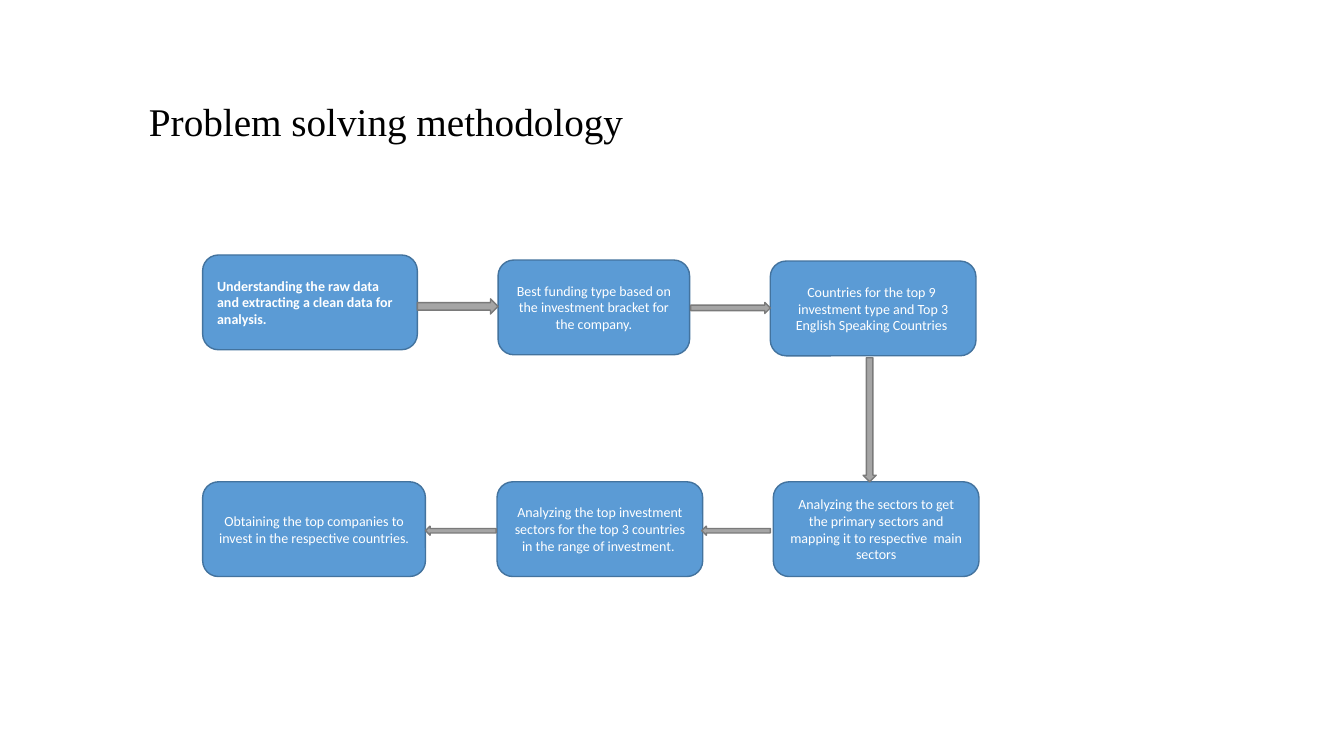
import math

import pptx
import pptx.dml.color
import pptx.enum.shapes
import pptx.enum.text
import pptx.util

COLORS = {
    "title": "000000",
    "step": "5B9BD5",
    "step_line": "43739E",
    "step_text": "FFFFFF",
    "arrow": "A5A5A5",
    "arrow_line": "7A7A7A",
}
SLIDE_WIDTH, SLIDE_HEIGHT = 13.33, 7.5
GRID = 0.1  # one column or row of the grid, in inches
STEP_HEIGHT = 9.4

SHAPE = pptx.enum.shapes.MSO_SHAPE
ALIGN = pptx.enum.text.PP_ALIGN

# Left, top and width in grid units from the corner of the flow, then wording
STEPS = [
    (0, 0, 21.3, "Understanding the raw data and extracting a clean data for analysis."),
    (29.3, 0.5, 19, "Best funding type based on the investment bracket for the company."),
    (56.3, 0.6, 20.4, "Countries for the top 9  investment type and Top 3 English Speaking Countries "),
    (56.6, 22.5, 20.4, "Analyzing the sectors to get the primary sectors and mapping it to respective  main sectors"),
    (29.2, 22.5, 20.4, "Analyzing the top investment sectors for the top 3 countries in the range of investment. "),
    (0, 22.5, 22.1, "Obtaining the top companies to invest in the respective countries."),
]

# Start, end and thickness in grid units from the corner of the flow
ARROWS = [
    ((21.3, 5.1), (29.3, 5.1), 1.5),
    ((48.4, 5.25), (56.3, 5.25), 1.1),
    ((66.15, 10.2), (66.15, 22.5), 1.3),
    ((56.3, 27.35), (49.5, 27.35), 0.9),
    ((29.1, 27.35), (22.1, 27.35), 0.9),
]


def rgb(name):
    return pptx.dml.color.RGBColor.from_string(COLORS[name])


def grid(*units):
    return [pptx.util.Inches(unit * GRID) for unit in units]


def add_run(paragraph, wording, *, size, font, color, bold=False):
    run = paragraph.add_run()
    run.text = wording
    run.font.size = pptx.util.Pt(size)
    run.font.name = font
    run.font.bold = bold
    run.font.color.rgb = rgb(color)


def add_block(slide, kind, box, color):
    block = slide.shapes.add_shape(kind, *grid(*box))
    block.shadow.inherit = False
    block.fill.solid()
    block.fill.fore_color.rgb = rgb(color)
    block.line.color.rgb = rgb(color + "_line")
    block.line.width = pptx.util.Pt(1)
    return block


def add_title(slide, box):
    title = slide.shapes.add_textbox(*grid(*box))
    title.text_frame.word_wrap = True
    title.text_frame.vertical_anchor = pptx.enum.text.MSO_ANCHOR.MIDDLE
    heading = title.text_frame.paragraphs[0]
    heading.line_spacing = 0.9
    add_run(heading, " ", size=40, font="Times New Roman", color="title", bold=True)
    add_run(heading, "Problem solving methodology", size=28,
            font="Times New Roman", color="title")


def add_step(slide, box, wording, first):
    step = add_block(slide, SHAPE.ROUNDED_RECTANGLE, box, "step")
    step.text_frame.word_wrap = True
    step.text_frame.vertical_anchor = pptx.enum.text.MSO_ANCHOR.MIDDLE
    paragraph = step.text_frame.paragraphs[0]
    paragraph.alignment = ALIGN.LEFT if first else ALIGN.CENTER
    add_run(paragraph, wording, size=10, font="Calibri", color="step_text", bold=first)


def add_arrow(slide, start, end, thickness):
    length = math.dist(start, end)
    middle_x, middle_y = (start[0] + end[0]) / 2, (start[1] + end[1]) / 2
    box = (middle_x - length / 2, middle_y - thickness / 2, length, thickness)
    arrow = add_block(slide, SHAPE.RIGHT_ARROW, box, "arrow")
    arrow.rotation = math.degrees(math.atan2(end[1] - start[1], end[0] - start[0]))


def add_flow(slide, left, top):
    for number, (x, y, width, wording) in enumerate(STEPS):
        add_step(slide, (left + x, top + y, width, STEP_HEIGHT), wording, number == 0)
    for start, end, thickness in ARROWS:
        add_arrow(slide, (left + start[0], top + start[1]),
                  (left + end[0], top + end[1]), thickness)


def main():
    deck = pptx.Presentation()
    deck.slide_width = pptx.util.Inches(SLIDE_WIDTH)
    deck.slide_height = pptx.util.Inches(SLIDE_HEIGHT)
    slide = deck.slides.add_slide(deck.slide_layouts[6])
    add_title(slide, (12.4, 7, 101.9, 9.4))
    add_flow(slide, 20.1, 25.3)
    deck.save("out.pptx")


if __name__ == "__main__":
    main()
